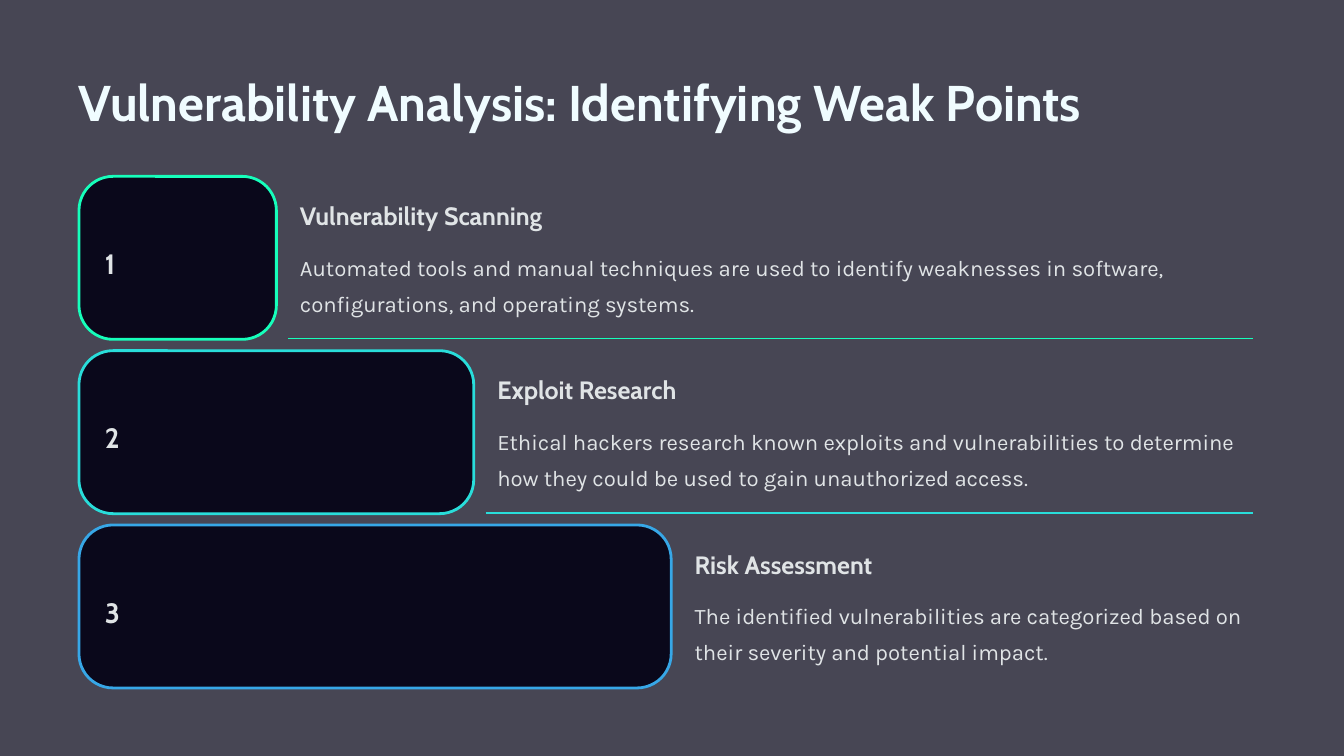
import pptx
import pptx.dml.color
import pptx.enum.shapes
import pptx.enum.text
import pptx.util
from lxml import etree

Inches, Pt = pptx.util.Inches, pptx.util.Pt
MSO_SHAPE = pptx.enum.shapes.MSO_SHAPE

WIDTH, HEIGHT = 16, 9
MARGIN = 0.94
STEP = 2.35  # each bar is one step longer than the one above
ROW_H, ROW_PITCH, FIRST_ROW = 1.94, 2.075, 2.1
RULE_RIGHT = 14.92

BACKDROP, NAVY, TITLE, TEXT = "474654", "0A081B", "F0FCFF", "E0E4E6"

STAGES = [
    ("Vulnerability Scanning",
     "Automated tools and manual techniques are used to identify weaknesses "
     "in software, configurations, and operating systems.", "16FFBB"),
    ("Exploit Research",
     "Ethical hackers research known exploits and vulnerabilities to "
     "determine how they could be used to gain unauthorized access.", "29DDDA"),
    ("Risk Assessment",
     "The identified vulnerabilities are categorized based on their severity "
     "and potential impact.", "37A7E7"),
]


def paint(fmt, color):
    """Give a fill a solid colour."""
    fmt.solid()
    fmt.fore_color.rgb = pptx.dml.color.RGBColor.from_string(color)


def write(sp, text, size, leading, font="Cabin", color=TEXT, bold=True, wrap=False):
    tf = sp.text_frame
    tf.margin_left = tf.margin_right = tf.margin_top = tf.margin_bottom = 0
    tf.auto_size = pptx.enum.text.MSO_AUTO_SIZE.NONE
    tf.vertical_anchor = pptx.enum.text.MSO_ANCHOR.TOP
    tf.word_wrap = wrap
    p = tf.paragraphs[0]
    p.alignment = pptx.enum.text.PP_ALIGN.LEFT
    p.line_spacing = Pt(leading)
    p.space_before = Pt(0)
    r = p.add_run()
    r.text = text
    r.font.name, r.font.size, r.font.bold = font, Pt(size), bold
    paint(r.font.fill, color)


def add_text(slide, box, text, size, leading, **fmt):
    sp = slide.shapes.add_textbox(*map(Inches, box))
    write(sp, text, size, leading, **fmt)


def add_title(slide, box, text):
    sp = slide.shapes.title
    sp.left, sp.top, sp.width, sp.height = map(Inches, box)
    write(sp, text, 43, 54, color=TITLE)


def add_bar(slide, box, number, color):
    x, y, w, h = box
    sp = slide.shapes.add_shape(MSO_SHAPE.ROUNDED_RECTANGLE, *map(Inches, box))
    sp.adjustments[0] = 0.209
    sp.shadow.inherit = False
    paint(sp.fill, NAVY)
    paint(sp.line.fill, color)
    sp.line.width = Pt(2.4)
    add_text(slide, (x + 0.31, y + 0.7, 0.2, 0.54), str(number), 24, 38.5)


def add_description(slide, box, heading, body):
    x, y, w, h = box
    add_text(slide, (x, y + 0.27, 3.22, 0.38), heading, 21.5, 27)
    add_text(slide, (x, y + 0.81, w, 0.86), body, 19, 31,
             font="Karla", bold=False, wrap=True)


def add_rule(slide, left, right, y, color):
    line = slide.shapes.add_connector(
        pptx.enum.shapes.MSO_CONNECTOR.STRAIGHT,
        *map(Inches, (left, y, right, y)))
    paint(line.line.fill, color)
    line.line.width = Pt(1.5)
    etree.SubElement(line._element.spPr, pptx.oxml.ns.qn("a:effectLst"))


def add_stage(slide, box, number, stage):
    heading, body, color = stage
    x, y, w, h = box
    bar_w = number * STEP
    bar_right = x + bar_w
    text_x = bar_right + 0.28
    add_bar(slide, (x, y, bar_w, h), number, color)
    add_description(slide, (text_x, y, x + w - 0.13 - text_x, h), heading, body)
    if number < len(STAGES):
        add_rule(slide, bar_right + 0.14, x + w, y + h - 0.01, color)


def main():
    prs = pptx.Presentation()
    prs.slide_width, prs.slide_height = Inches(WIDTH), Inches(HEIGHT)
    slide = prs.slides.add_slide(prs.slide_layouts[5])
    paint(slide.background.fill, BACKDROP)
    add_title(slide, (MARGIN, 0.81, 13.13, 0.75),
              "Vulnerability Analysis: Identifying Weak Points")
    for i, stage in enumerate(STAGES):
        box = (MARGIN, FIRST_ROW + i * ROW_PITCH, RULE_RIGHT - MARGIN, ROW_H)
        add_stage(slide, box, i + 1, stage)
    prs.save("out.pptx")


if __name__ == "__main__":
    main()
